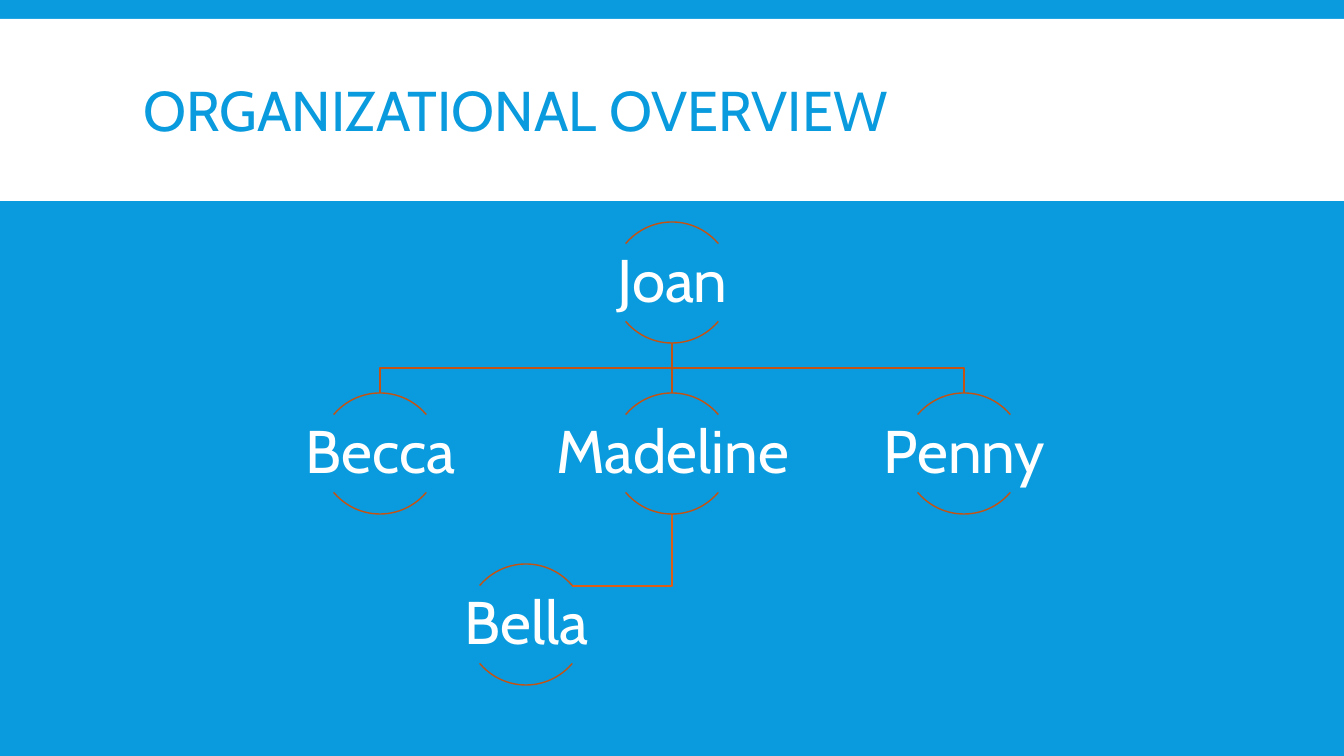
from pptx import Presentation
from pptx import util as u
from pptx.dml.color import RGBColor
from pptx.enum import shapes, text
from pptx.oxml.ns import qn
from lxml import etree

BLUE = RGBColor(0x09, 0x9B, 0xDD)
WHITE = RGBColor(0xFF, 0xFF, 0xFF)
RUST = RGBColor(0xC4, 0x52, 0x12)
ORANGE = RGBColor(0xDE, 0x5D, 0x15)

EMU_PER_PX = 914400 / 100.8
DIAMETER = 121
LEVEL_STEP = 171
COLUMN_STEP = 146
ROOT_X, ROOT_TOP = 672, 222
PEOPLE = {
    "Joan": (0, 0),
    "Becca": (-2, 1),
    "Madeline": (0, 1),
    "Bella": (-1, 2),
    "Penny": (2, 1),
}


def px(*lengths):
    return [u.Emu(round(length * EMU_PER_PX)) for length in lengths]


def place(name):
    column, level = PEOPLE[name]
    return ROOT_X + column * COLUMN_STEP, ROOT_TOP + level * LEVEL_STEP


class OrgSlide:
    font = "Cabin"

    def __init__(self, presentation):
        self.slide = presentation.slides.add_slide(presentation.slide_layouts[5])
        self.shapes = self.slide.shapes
        background = self.slide.background.fill
        background.solid()
        background.fore_color.rgb = BLUE

    def add_words(self, frame, words, size, color, align, spacing):
        frame.word_wrap = True
        frame.auto_size = text.MSO_AUTO_SIZE.NONE
        frame.vertical_anchor = text.MSO_ANCHOR.MIDDLE
        paragraph = frame.paragraphs[0]
        paragraph.alignment = align
        paragraph.line_spacing = spacing
        run = paragraph.add_run()
        run.text = words
        run.font.name = self.font
        run.font.size = u.Pt(size)
        run.font.color.rgb = color

    def outline(self, shape, color):
        shape.shadow.inherit = False
        shape.fill.background()
        shape.line.color.rgb = color
        shape.line.width = u.Pt(1)

    def band(self, *box):
        shape = self.shapes.add_shape(shapes.MSO_SHAPE.RECTANGLE, *px(*box))
        shape.shadow.inherit = False
        shape.fill.solid()
        shape.fill.fore_color.rgb = WHITE
        shape.line.fill.background()
        self.shapes._spTree.insert(2, shape._element)

    def title(self, words, *box):
        shape = self.shapes.title
        shape.left, shape.top, shape.width, shape.height = px(*box)
        self.add_words(shape.text_frame, words, 40, BLUE, text.PP_ALIGN.LEFT, 0.85)

    def bent_link(self, points, color):
        builder = self.shapes.build_freeform(*points[0], scale=EMU_PER_PX)
        builder.add_line_segments(points[1:], close=False)
        self.outline(builder.convert_to_shape(), color)

    def straight_link(self, *ends):
        line = self.shapes.add_connector(shapes.MSO_CONNECTOR.STRAIGHT, *px(*ends))
        line.line.color.rgb = RUST
        line.line.width = u.Pt(1)
        etree.SubElement(line._element.spPr, qn("a:effectLst"))

    def person(self, name):
        x, top = place(name)
        for start, end in ((132, 192), (24, 84)):
            arc = self.shapes.add_shape(
                shapes.MSO_SHAPE.ARC, *px(x - DIAMETER / 2, top, DIAMETER, DIAMETER))
            arc.adjustments[0] = start
            arc.adjustments[1] = end
            self.outline(arc, RUST)
        frame = self.shapes.add_textbox(*px(x - 120, top + 22, 241, 78)).text_frame
        frame.margin_left = frame.margin_right = u.Inches(0.03)
        frame.margin_top = frame.margin_bottom = u.Inches(0.03)
        self.add_words(frame, name, 43, WHITE, text.PP_ALIGN.CENTER, 0.9)


def main():
    presentation = Presentation()
    presentation.slide_width, presentation.slide_height = px(1344, 756)
    chart = OrgSlide(presentation)
    chart.band(0, 19, 1344, 182)
    chart.title("ORGANIZATIONAL OVERVIEW", 133, 31, 1079, 166)

    root_x, root_top = place("Joan")
    root_bottom = root_top + DIAMETER
    middle_x, middle_top = place("Madeline")
    bend = (root_bottom + middle_top) // 2
    for name in ("Penny", "Becca"):
        x, top = place(name)
        chart.bent_link([(root_x, root_bottom), (root_x, bend), (x, bend), (x, top)], RUST)
    chart.straight_link(root_x, root_bottom, middle_x, middle_top)
    x, top = place("Bella")
    chart.bent_link(
        [(middle_x, middle_top + DIAMETER), (middle_x, top + 22), (x + 46, top + 22)], ORANGE)

    for name in PEOPLE:
        chart.person(name)
    presentation.save("out.pptx")


if __name__ == "__main__":
    main()
